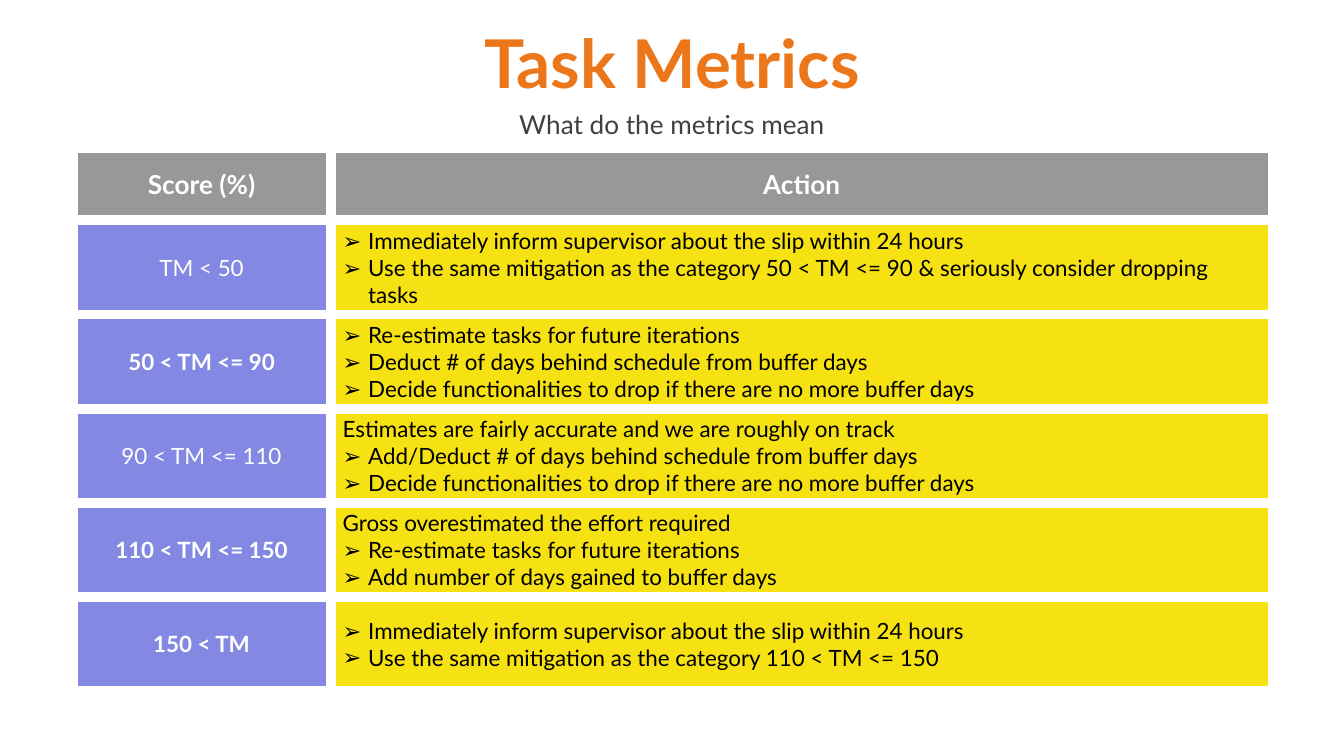
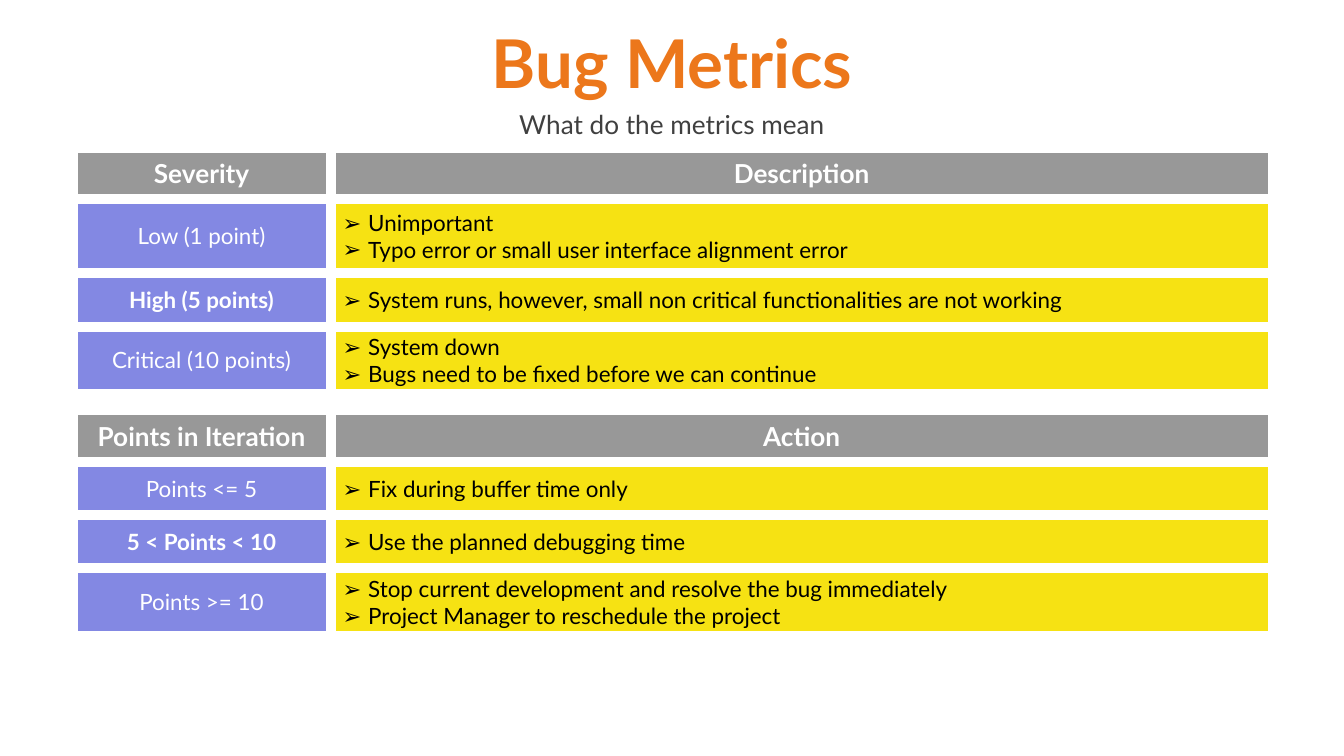
import dataclasses

import lxml.etree
import pptx
import pptx.dml.color
import pptx.enum.text
import pptx.oxml.ns
import pptx.util

Inches = pptx.util.Inches
Pt = pptx.util.Pt
RGB = pptx.dml.color.RGBColor.from_string
qn = pptx.oxml.ns.qn
CENTER = pptx.enum.text.PP_ALIGN.CENTER
LEFT = pptx.enum.text.PP_ALIGN.LEFT
MIDDLE = pptx.enum.text.MSO_ANCHOR.MIDDLE


@dataclasses.dataclass(frozen=True)
class Theme:
    font: str = "Lato"
    title_color: str = "EC771B"
    subtitle_color: str = "404040"
    header_fill: str = "989898"
    label_fill: str = "8388E3"
    detail_fill: str = "F6E213"
    light: str = "FFFFFF"
    dark: str = "000000"
    title_size: int = 36
    heading_size: int = 14
    body_size: int = 12
    border_width: int = 6


@dataclasses.dataclass
class Level:
    """One table row: its label, its bullets and an optional unbulleted lead line."""
    height: float
    label: str
    bullets: list
    strong: bool = False
    lead: str = ""


class Deck:
    TABLE_LEFT = 0.54
    COLUMN_WIDTHS = (1.92, 7.01)
    BULLET_INDENT = 0.19

    def __init__(self, theme):
        self.theme = theme
        self.presentation = pptx.Presentation()
        self.presentation.slide_width = Inches(10)
        self.presentation.slide_height = Inches(10) * 9 // 16
        self.slide = None

    def add_slide(self, title, subtitle):
        theme = self.theme
        self.slide = self.presentation.slides.add_slide(self.presentation.slide_layouts[5])
        self.heading(self.slide.shapes.title, 0.14, 0.63, title,
                     theme.title_size, theme.title_color, True)
        subtitle_box = self.slide.shapes.add_textbox(0, 0, Inches(1), Inches(1))
        self.heading(subtitle_box, 0.77, 0.31, subtitle,
                     theme.heading_size, theme.subtitle_color, False)

    def heading(self, box, top, height, text, size, color, bold):
        """Spread a box over the slide width and centre its text."""
        box.left, box.top = Inches(0), Inches(top)
        box.width, box.height = self.presentation.slide_width, Inches(height)
        frame = box.text_frame
        frame.text = text
        frame.word_wrap = True
        frame.auto_size = pptx.enum.text.MSO_AUTO_SIZE.NONE
        frame.vertical_anchor = MIDDLE
        self.format(frame.paragraphs[0], size, color, bold, CENTER)

    def format(self, paragraph, size, color, bold, align):
        paragraph.alignment = align
        paragraph.space_before = Pt(0)
        for run in paragraph.runs:
            run.font.name = self.theme.font
            run.font.size = Pt(size)
            run.font.bold = bold
            run.font.color.rgb = RGB(color)

    def bullet(self, paragraph):
        properties = paragraph._p.get_or_add_pPr()
        properties.set("marL", str(Inches(self.BULLET_INDENT)))
        properties.set("indent", str(-Inches(self.BULLET_INDENT)))
        lxml.etree.SubElement(properties, qn("a:buFont")).set("typeface", self.theme.font)
        lxml.etree.SubElement(properties, qn("a:buChar")).set("char", "➢")

    def borders(self, cell):
        properties = cell._tc.get_or_add_tcPr()
        for side in ("a:lnL", "a:lnR", "a:lnT", "a:lnB"):
            line = lxml.etree.SubElement(properties, qn(side))
            line.set("w", str(Pt(self.theme.border_width)))
            fill = lxml.etree.SubElement(line, qn("a:solidFill"))
            lxml.etree.SubElement(fill, qn("a:srgbClr")).set("val", self.theme.light)

    def cell(self, cell, lines, fill, size, color, bold=False, align=CENTER, bullets_from=None):
        """Fill a cell; lines from index bullets_from onwards get a bullet."""
        self.borders(cell)
        cell.fill.solid()
        cell.fill.fore_color.rgb = RGB(fill)
        cell.vertical_anchor = MIDDLE
        cell.margin_left = cell.margin_right = Inches(0.09)
        cell.margin_top = cell.margin_bottom = Inches(0.05)
        cell.text_frame.text = "\n".join(lines)
        for index, paragraph in enumerate(cell.text_frame.paragraphs):
            if bullets_from is not None and index >= bullets_from:
                self.bullet(paragraph)
            self.format(paragraph, size, color, bold, align)

    def table(self, top, header_height, headers, levels):
        theme = self.theme
        heights = [header_height] + [level.height for level in levels]
        table = self.slide.shapes.add_table(
            len(heights), len(headers), Inches(self.TABLE_LEFT), Inches(top),
            Inches(sum(self.COLUMN_WIDTHS)), Inches(sum(heights))).table
        table.horz_banding = False
        for column, width in zip(table.columns, self.COLUMN_WIDTHS):
            column.width = Inches(width)
        for row, height in zip(table.rows, heights):
            row.height = Inches(height)
        for column, header in enumerate(headers):
            self.cell(table.cell(0, column), [header], theme.header_fill,
                      theme.heading_size, theme.light, bold=True)
        for row, level in enumerate(levels, start=1):
            self.cell(table.cell(row, 0), [level.label], theme.label_fill,
                      theme.body_size, theme.light, bold=level.strong)
            lead = [level.lead] if level.lead else []
            self.cell(table.cell(row, 1), lead + level.bullets, theme.detail_fill,
                      theme.body_size, theme.dark, align=LEFT, bullets_from=len(lead))


SUBTITLE = "What do the metrics mean"
INFORM = "Immediately inform supervisor about the slip within 24 hours"
RE_ESTIMATE = "Re-estimate tasks for future iterations"
DROP = "Decide functionalities to drop if there are no more buffer days"
TASK_ROW = 0.7

TASK_SCORES = [
    Level(TASK_ROW, "TM < 50", [
        INFORM,
        "Use the same mitigation as the category 50 < TM <= 90 & seriously consider dropping tasks"]),
    Level(TASK_ROW, "50 < TM <= 90", [
        RE_ESTIMATE, "Deduct # of days behind schedule from buffer days", DROP], strong=True),
    Level(TASK_ROW, "90 < TM <= 110", [
        "Add/Deduct # of days behind schedule from buffer days", DROP],
        lead="Estimates are fairly accurate and we are roughly on track"),
    Level(TASK_ROW, "110 < TM <= 150", [
        RE_ESTIMATE, "Add number of days gained to buffer days"], strong=True,
        lead="Gross overestimated the effort required"),
    Level(TASK_ROW, "150 < TM", [
        INFORM, "Use the same mitigation as the category 110 < TM <= 150"], strong=True),
]

BUG_SEVERITIES = [
    Level(0.55, "Low (1 point)", [
        "Unimportant", "Typo error or small user interface alignment error"]),
    Level(0.4, "High (5 points)", [
        "System runs, however, small non critical functionalities are not working"], strong=True),
    Level(0.47, "Critical (10 points)", [
        "System down", "Bugs need to be fixed before we can continue"]),
]

BUG_ACTIONS = [
    Level(0.39, "Points <= 5", ["Fix during buffer time only"]),
    Level(0.4, "5 < Points < 10", ["Use the planned debugging time"], strong=True),
    Level(0.47, "Points >= 10", [
        "Stop current development and resolve the bug immediately",
        "Project Manager to reschedule the project"]),
]


def main():
    deck = Deck(Theme())
    deck.add_slide("Task Metrics", SUBTITLE)
    deck.table(1.1, 0.54, ("Score (%)", "Action"), TASK_SCORES)
    deck.add_slide("Bug Metrics", SUBTITLE)
    deck.table(1.1, 0.38, ("Severity", "Description"), BUG_SEVERITIES)
    deck.table(3.05, 0.39, ("Points in Iteration", "Action"), BUG_ACTIONS)
    deck.presentation.save("out.pptx")


if __name__ == "__main__":
    main()
